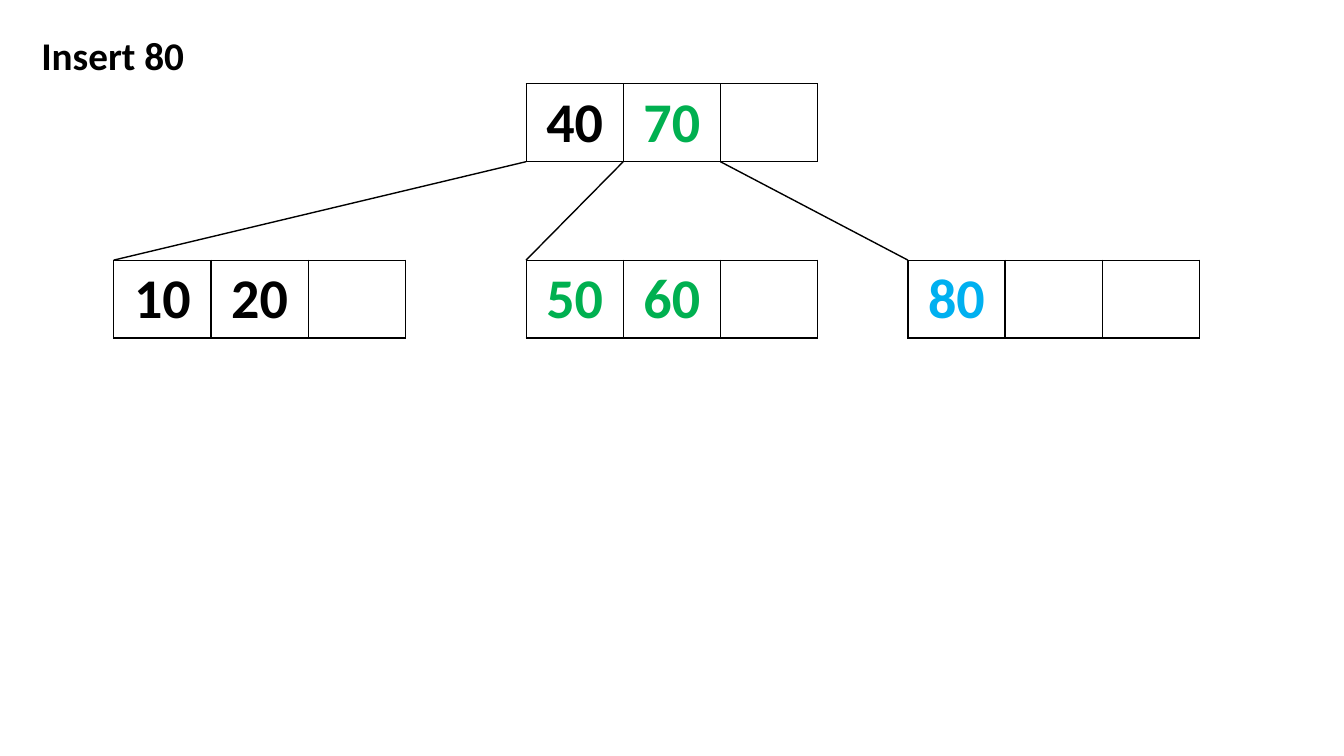
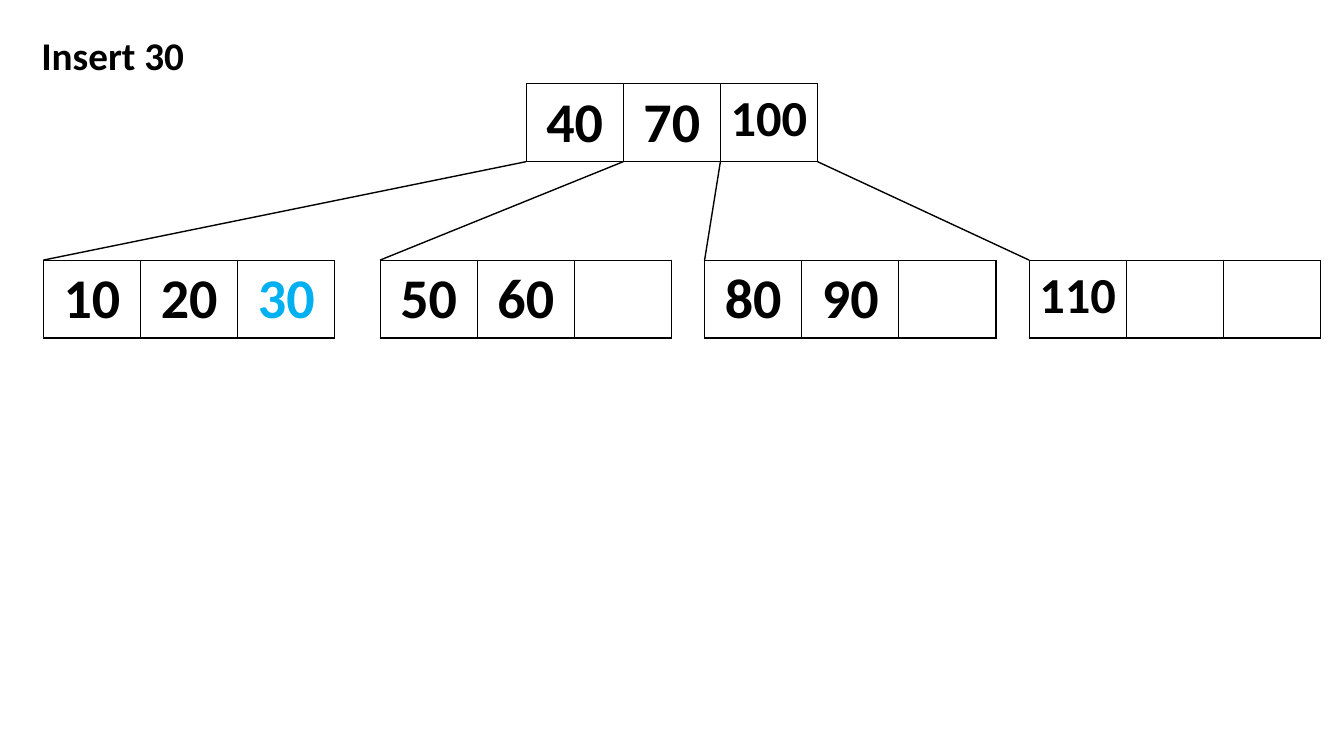
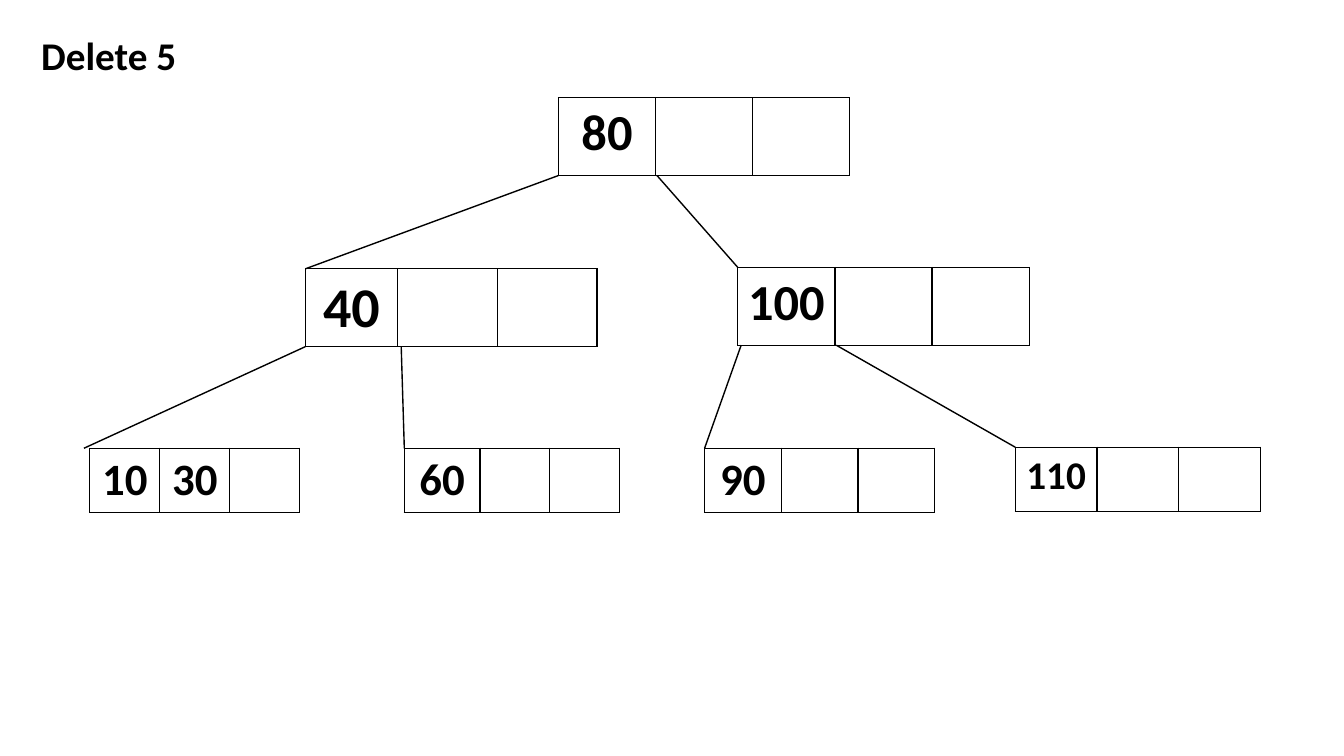
from lxml.etree import SubElement
from pptx import Presentation
from pptx.dml.color import RGBColor
from pptx.enum.shapes import MSO_CONNECTOR
from pptx.enum.text import MSO_AUTO_SIZE, PP_ALIGN
from pptx.oxml.ns import qn
from pptx.util import Pt

BLACK = RGBColor(0x00, 0x00, 0x00)
WHITE = RGBColor(0xFF, 0xFF, 0xFF)
GREEN = RGBColor(0x00, 0xB0, 0x50)
BLUE = RGBColor(0x00, 0xB0, 0xF0)
FONT = "Calibri"
SLOT_W = 69.4
NODE_H, LEAF_H = 55.6, 45.6
ROOT_LEFT, ROOT_TOP, CHILD_TOP = 375.8, 59.9, 185.8


def write(tf, text, size=40, color=BLACK, align=None):
    p = tf.paragraphs[0]
    p.alignment = align
    r = p.add_run()
    r.text = text
    r.font.name = FONT
    r.font.size = Pt(size)
    r.font.bold = True
    r.font.color.rgb = color


def add_titled_slide(prs, title, width=118):
    s = prs.slides.add_slide(prs.slide_layouts[6])
    tf = s.shapes.add_textbox(Pt(22.4), Pt(18.6), Pt(width), Pt(41.2)).text_frame
    tf.word_wrap = False
    tf.auto_size = MSO_AUTO_SIZE.SHAPE_TO_FIT_TEXT
    write(tf, title, size=28)
    return s


def add_borders(cell):
    tc_pr = cell._tc.get_or_add_tcPr()
    for side in ("lnL", "lnR", "lnT", "lnB"):
        ln = SubElement(tc_pr, qn(f"a:{side}"), w=str(Pt(1)))
        fill = SubElement(ln, qn("a:solidFill"))
        SubElement(fill, qn("a:srgbClr"), val=str(BLACK))


def add_node(s, left, top, keys, widths=(SLOT_W,) * 3, height=NODE_H, size=40,
             colors=None):
    """Tree node with one slot per width; three-digit keys are set smaller."""
    frame = s.shapes.add_table(1, len(widths), Pt(left), Pt(top),
                               Pt(sum(widths)), Pt(height))
    table = frame.table
    table.first_row = table.horz_banding = False
    for i, width in enumerate(widths):
        table.columns[i].width = Pt(width)
        cell = table.cell(0, i)
        add_borders(cell)
        cell.fill.solid()
        cell.fill.fore_color.rgb = WHITE
        if i < len(keys):
            key = keys[i]
            write(cell.text_frame, key, size=size - 4 * (len(key) > 2),
                  color=(colors or {}).get(key, BLACK), align=PP_ALIGN.CENTER)
    return frame


def link(s, parent, slot, child, start_shift=0, end_shift=0):
    """Line from the left edge of a parent's slot to the child's top left."""
    widths = [col.width for col in parent.table.columns]
    line = s.shapes.add_connector(
        MSO_CONNECTOR.STRAIGHT,
        parent.left + sum(widths[:slot]) + Pt(start_shift),
        parent.top + parent.height,
        child.left + Pt(end_shift), child.top)
    line.line.color.rgb = BLACK
    line.line.width = Pt(1)
    SubElement(line._element.spPr, qn("a:effectLst"))


def add_two_level_tree(s, root_keys, children, colors):
    root = add_node(s, ROOT_LEFT, ROOT_TOP, root_keys, colors=colors)
    for slot, (left, keys) in enumerate(children):
        link(s, root, slot, add_node(s, left, CHILD_TOP, keys, colors=colors))


def add_three_level_tree(s):
    root = add_node(s, 398.9, 69.8, ["80"], size=36)
    low = add_node(s, 218.2, 192, ["40"], widths=(65.6, 71.3, 71.3))
    high = add_node(s, 527, 191, ["100"])

    # Leaves
    leaf_10 = add_node(s, 64.2, 320.2, ["10", "30"], (50,) * 3, LEAF_H, 32)
    leaf_60 = add_node(s, 288.8, 320.2, ["60"], (54, 50, 50), LEAF_H, 32)
    leaf_90 = add_node(s, 503.3, 320.2, ["90"], (54.8,) * 3, LEAF_H, 32)
    leaf_110 = add_node(s, 725.3, 319.5, ["110"], (58.3,) * 3, LEAF_H, 32)

    # Branches
    link(s, root, 0, low)
    link(s, root, 1, high, start_shift=1)
    link(s, low, 0, leaf_10, end_shift=-4.2)
    link(s, low, 1, leaf_60, start_shift=2.8)
    link(s, high, 0, leaf_90, start_shift=2.4)
    link(s, high, 1, leaf_110, start_shift=1)


def main():
    prs = Presentation()
    prs.slide_width, prs.slide_height = Pt(960), Pt(540)

    # Insert 80
    s = add_titled_slide(prs, "Insert 80")
    add_two_level_tree(
        s, ["40", "70"],
        [(81.3, ["10", "20"]), (ROOT_LEFT, ["50", "60"]), (648.5, ["80"])],
        {"50": GREEN, "60": GREEN, "70": GREEN, "80": BLUE})

    # Insert 30
    s = add_titled_slide(prs, "Insert 30")
    add_two_level_tree(
        s, ["40", "70", "100"],
        [(31, ["10", "20", "30"]), (271.5, ["50", "60"]),
         (503.3, ["80", "90"]), (735.1, ["110"])],
        {"30": BLUE})

    # Delete 5
    s = add_titled_slide(prs, "Delete 5", width=112.3)
    add_three_level_tree(s)

    prs.save("out.pptx")


if __name__ == "__main__":
    main()
